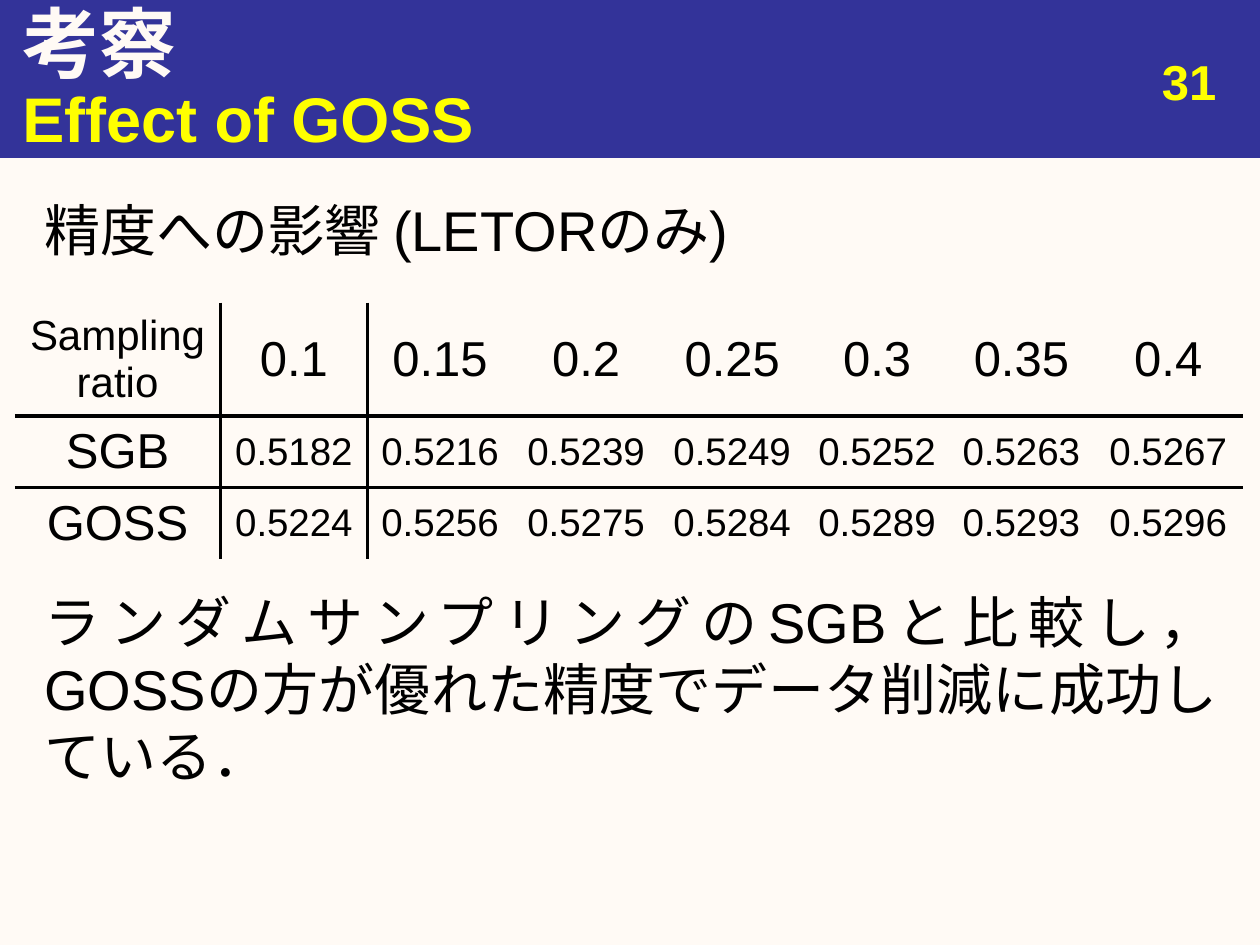
from lxml import etree
from pptx import Presentation
from pptx import util as u
from pptx.dml.color import RGBColor
from pptx.enum import lang, shapes, text
from pptx.oxml import ns


def rgb(value):
    return RGBColor.from_string(value)


class Deck:
    font = "Arial"
    ink, paper, band, accent = "000000", "FFFAF5", "333399", "FFFF00"
    rule = 2.25

    def __init__(self, width, height):
        self.prs = Presentation()
        self.prs.slide_width, self.prs.slide_height = u.Cm(width), u.Cm(height)
        self.s = self.prs.slides.add_slide(self.prs.slide_layouts[6])
        fill = self.s.background.fill
        fill.solid()
        fill.fore_color.rgb = rgb(self.paper)

    def fill_text(self, tf, lines, align, color, **fmt):
        fmt = {"name": self.font, "language_id": lang.MSO_LANGUAGE_ID.JAPANESE, **fmt}
        for i, line in enumerate(lines):
            p = tf.add_paragraph() if i else tf.paragraphs[0]
            p.alignment = align
            r = p.add_run()
            r.text = line
            for key, value in fmt.items():
                setattr(r.font, key, value)
            r.font.color.rgb = rgb(color)

    def rect(self, box, color):
        sp = self.s.shapes.add_shape(shapes.MSO_SHAPE.RECTANGLE, *map(u.Cm, box))
        sp.shadow.inherit = False
        sp.fill.solid()
        sp.fill.fore_color.rgb = rgb(color)
        sp.line.color.rgb = rgb(color)
        sp.line.width = u.Pt(0.75)

    def text(self, box, line, size, color, align=text.PP_ALIGN.LEFT,
             anchor=text.MSO_ANCHOR.TOP, bold=False):
        tf = self.s.shapes.add_textbox(*map(u.Cm, box)).text_frame
        tf.word_wrap = True
        tf.vertical_anchor = anchor
        self.fill_text(tf, [line], align, color, size=u.Pt(size), bold=bold)

    def borders(self, cell, shown):
        tc_pr = cell._tc.get_or_add_tcPr()
        for i, side in enumerate("LRTB"):
            ln = etree.Element(ns.qn(f"a:ln{side}"), w=str(u.Pt(self.rule)))
            if side in shown:
                fill = etree.SubElement(ln, ns.qn("a:solidFill"))
                etree.SubElement(fill, ns.qn("a:srgbClr"), val=self.ink)
            else:
                etree.SubElement(ln, ns.qn("a:noFill"))
            tc_pr.insert(i, ln)

    def table(self, left, top, widths, heights, rows):
        frame = self.s.shapes.add_table(
            len(rows), len(widths), u.Cm(left), u.Cm(top),
            u.Cm(sum(widths)), u.Cm(sum(heights)))
        tbl = frame.table
        tbl.first_row = tbl.horz_banding = False
        for col, width in zip(tbl.columns, widths):
            col.width = u.Cm(width)
        for row, height in zip(tbl.rows, heights):
            row.height = u.Cm(height)
        for i, row in enumerate(rows):
            for j, value in enumerate(row):
                cell = tbl.cell(i, j)
                cell.fill.background()
                cell.vertical_anchor = text.MSO_ANCHOR.MIDDLE
                size = 24 if i == j == 0 else 22 if i and j else 28
                self.fill_text(cell.text_frame, value.split("\n"), text.PP_ALIGN.CENTER,
                               self.ink, size=u.Pt(size))
                shown = "R" if j < 2 else ""
                shown += "L" if j in (1, 2) else ""
                shown += "B" if i < len(rows) - 1 else ""
                shown += "T" if i else ""
                self.borders(cell, shown)


def main():
    d = Deck(25.4, 19.05)
    middle, justify = text.MSO_ANCHOR.MIDDLE, text.PP_ALIGN.JUSTIFY
    d.rect((0, 0, 25.4, 3.18), d.band)
    d.text((0.2, 0, 25.2, 1.7), "考察", 44, d.paper, anchor=middle, bold=True)
    d.text((18.85, 0.91, 5.92, 1.32), "31", 28, d.accent,
           align=text.PP_ALIGN.RIGHT, bold=True)
    d.text((0.2, 1.57, 25.2, 1.6), "Effect of GOSS", 36, d.accent,
           anchor=middle, bold=True)
    d.text((0.64, 3.81, 24.13, 1.8), "精度への影響 (LETORのみ)", 32, d.ink, align=justify)
    d.text((0.64, 11.71, 24.13, 4.5),
           "ランダムサンプリングのSGBと比較し，GOSSの方が優れた精度でデータ削減に成功している．",
           32, d.ink, align=justify)
    d.table(0.3, 6.1, [4.14, 2.97, 2.92, 2.97, 2.92, 2.92, 2.9, 3.02], [2.12, 1.36, 1.36], [
        ["Sampling\nratio", "0.1", "0.15", "0.2", "0.25", "0.3", "0.35", "0.4"],
        ["SGB", "0.5182", "0.5216", "0.5239", "0.5249", "0.5252", "0.5263", "0.5267"],
        ["GOSS", "0.5224", "0.5256", "0.5275", "0.5284", "0.5289", "0.5293", "0.5296"],
    ])
    d.prs.save("out.pptx")


if __name__ == "__main__":
    main()
